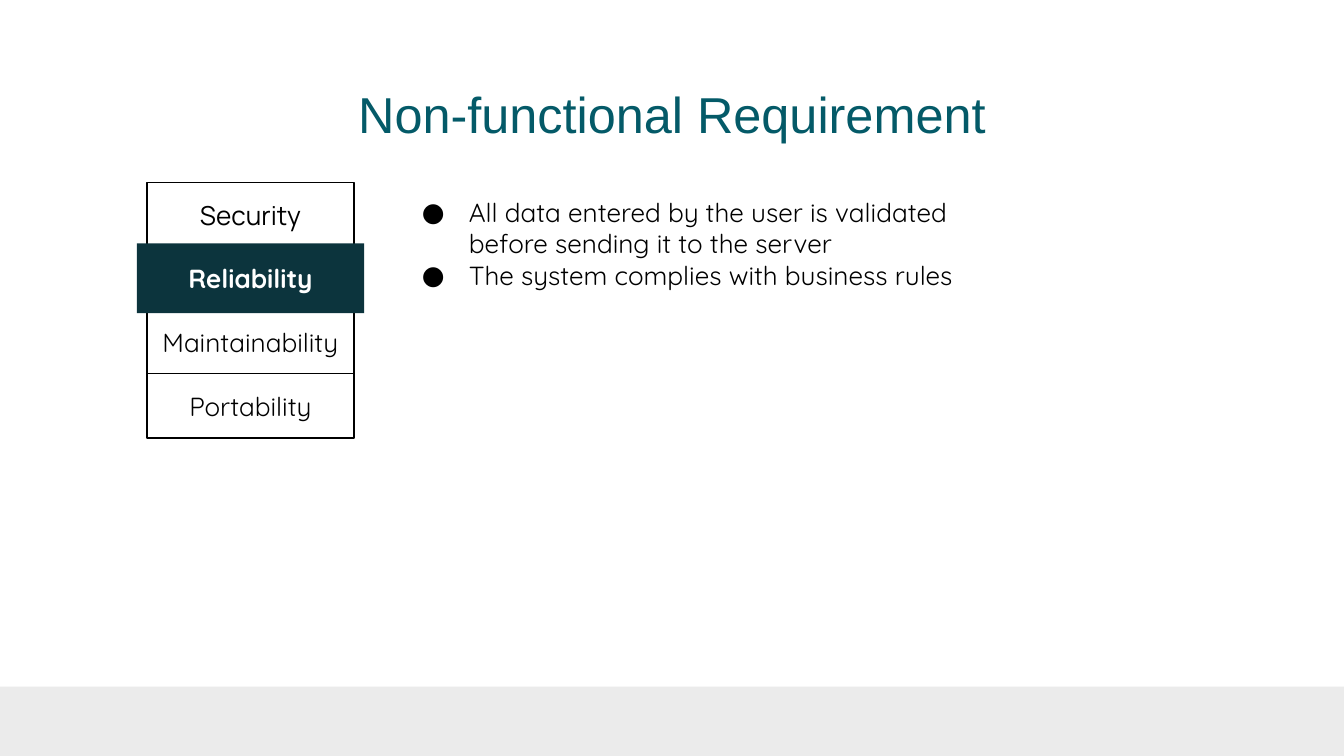
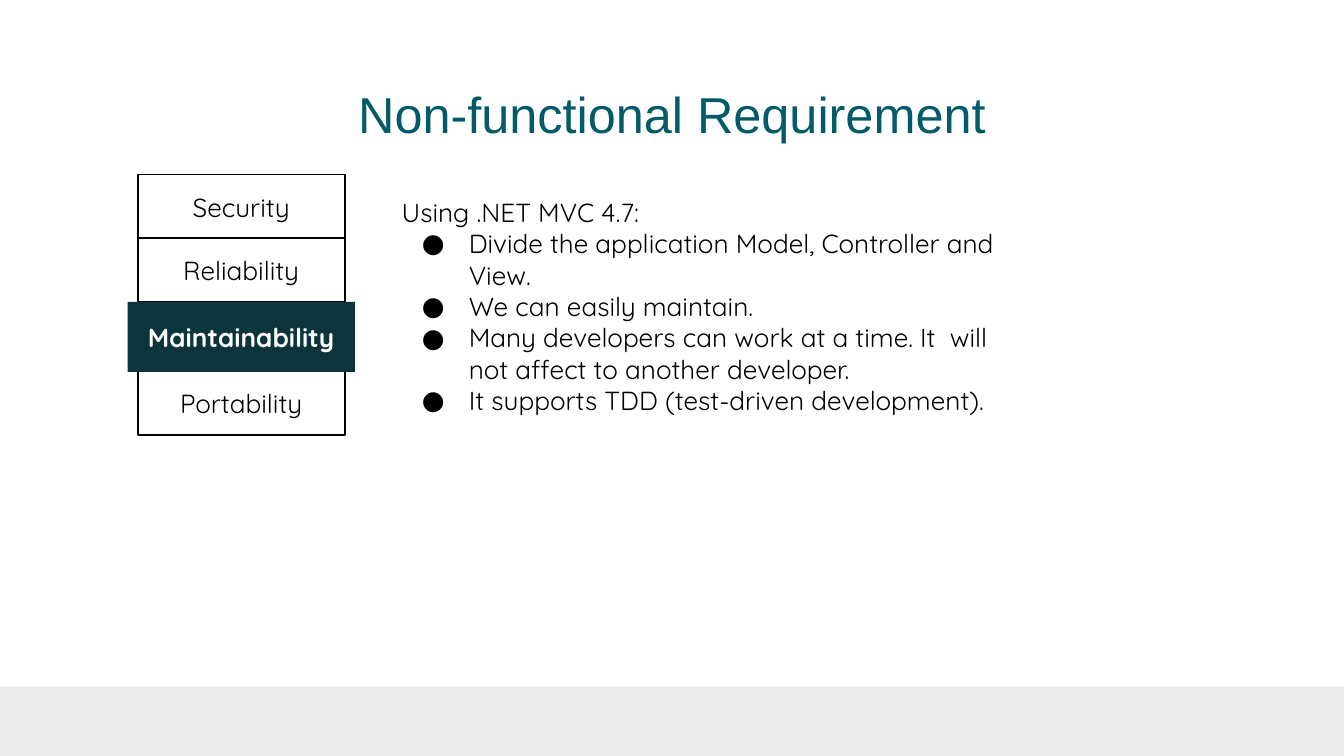
"""Build two slides on the non-functional requirements of a system."""
import dataclasses

import lxml.etree
import pptx
import pptx.dml.color
import pptx.enum.shapes
import pptx.enum.text
import pptx.oxml.ns
import pptx.util

WIDTH = pptx.util.Inches(10)
HEIGHT = pptx.util.Emu(WIDTH * 9 // 16)
GRID = 100
COLORS = {"black": "000000", "white": "FFFFFF", "teal": "045A68",
          "dark": "0C343D", "band": "EBEBEB"}
BODY_FONT, TITLE_FONT = "Quicksand", "Arial"
TITLE = "Non-functional Requirement"
QUALITIES = ("Security", "Reliability", "Maintainability", "Portability")
TAB_WIDTH, TAB_HEIGHT, TAB_PITCH = 15.4, 8.5, 8.42
GROW_WIDTH, GROW_HEIGHT = 1.5, 0.75


@dataclasses.dataclass(frozen=True)
class Area:
    """A rectangle in columns and rows of a 100 by 100 grid."""
    left: float
    top: float
    width: float
    height: float

    def emu(self) -> tuple[int, int, int, int]:
        """Return left, top, width and height in slide units."""
        return (round(self.left * WIDTH / GRID), round(self.top * HEIGHT / GRID),
                round(self.width * WIDTH / GRID), round(self.height * HEIGHT / GRID))


@dataclasses.dataclass(frozen=True)
class Menu:
    """A stack of quality tabs with one of them active."""
    left: float
    top: float
    active: str
    centred: bool
    fonts: dict[str, str] = dataclasses.field(default_factory=dict)

    def area(self, row: int) -> Area:
        """Return the place of a tab, making room for the larger active one."""
        active_row = QUALITIES.index(self.active)
        lift = GROW_HEIGHT / 2 if self.centred else 0
        top = self.top + row * TAB_PITCH
        if row == active_row:
            return Area(self.left - GROW_WIDTH / 2, top - lift,
                        TAB_WIDTH + GROW_WIDTH, TAB_HEIGHT + GROW_HEIGHT)
        push = GROW_HEIGHT - 2 * lift if row > active_row else 0
        return Area(self.left, top + push, TAB_WIDTH, TAB_HEIGHT)


@dataclasses.dataclass(frozen=True)
class Topic:
    """The content of one slide."""
    menu: Menu
    bullets: tuple[str, ...]
    intro: str = ""


BAND_AREA = Area(0, 90.84, 100, 9.16)
TITLE_AREA = Area(7.85, 9.27, 84.3, 11.38)
BODY_AREA = Area(28.9, 24.18, 49, 57.07)
TOPICS = (
    Topic(Menu(10.94, 24.15, "Reliability", True, {"Security": "Manrope"}),
          ("All data entered by the user is validated before sending it to the server",
           "The system complies with business rules")),
    Topic(Menu(10.25, 23.1, "Maintainability", False),
          ("Divide the application Model, Controller and View.",
           "We can easily maintain.",
           "Many developers can work at a time. It  will not affect to another developer.",
           "It supports TDD (test-driven development)."),
          "Using .NET MVC 4.7:"),
)


def color(name: str) -> pptx.dml.color.RGBColor:
    """Look up a named colour."""
    return pptx.dml.color.RGBColor.from_string(COLORS[name])


def style(para, size: float, face: str, ink: str, bold: bool = False) -> None:
    """Set the font of a whole paragraph."""
    para.font.size = pptx.util.Pt(size)
    para.font.name = face
    para.font.bold = bold
    para.font.color.rgb = color(ink)


def set_frame(frame, vertical: float, anchor: str) -> None:
    """Set wrapping, margins in inches and the anchor of a text frame."""
    frame.word_wrap = True
    frame.auto_size = pptx.enum.text.MSO_AUTO_SIZE.NONE
    frame.margin_left = frame.margin_right = pptx.util.Inches(0.1)
    frame.margin_top = frame.margin_bottom = pptx.util.Inches(vertical)
    frame.vertical_anchor = pptx.enum.text.MSO_ANCHOR[anchor]


def add_bullet(para) -> None:
    """Give a paragraph a round bullet and a hanging indent."""
    props = para._p.get_or_add_pPr()
    props.set("marL", str(pptx.util.Inches(0.5)))
    props.set("indent", str(pptx.util.Inches(-0.35)))
    tint = lxml.etree.SubElement(props, pptx.oxml.ns.qn("a:buClr"))
    lxml.etree.SubElement(tint, pptx.oxml.ns.qn("a:srgbClr"), val=COLORS["black"])
    lxml.etree.SubElement(props, pptx.oxml.ns.qn("a:buFont"), typeface=BODY_FONT)
    lxml.etree.SubElement(props, pptx.oxml.ns.qn("a:buChar"), char="●")


def add_box(page, area: Area, fill: str, line: str = ""):
    """Draw a flat rectangle with an optional outline."""
    box = page.shapes.add_shape(pptx.enum.shapes.MSO_SHAPE.RECTANGLE, *area.emu())
    box.shadow.inherit = False
    box.fill.solid()
    box.fill.fore_color.rgb = color(fill)
    if line:
        box.line.color.rgb = color(line)
        box.line.width = pptx.util.Pt(1)
    else:
        box.line.fill.background()
    return box


def add_title(page) -> None:
    """Place and format the title placeholder."""
    title = page.shapes.title
    title.left, title.top, title.width, title.height = TITLE_AREA.emu()
    set_frame(title.text_frame, 0.1, "MIDDLE")
    title.text_frame.text = TITLE
    para = title.text_frame.paragraphs[0]
    para.alignment = pptx.enum.text.PP_ALIGN.CENTER
    style(para, 27, TITLE_FONT, "teal")


def add_menu(page, menu: Menu) -> None:
    """Draw the tabs, with the active one in front."""
    for quality in sorted(QUALITIES, key=lambda name: name == menu.active):
        active = quality == menu.active
        area = menu.area(QUALITIES.index(quality))
        box = add_box(page, area, "dark") if active else add_box(page, area, "white", "black")
        set_frame(box.text_frame, 0.05, "MIDDLE")
        para = box.text_frame.paragraphs[0]
        para.text = quality
        para.alignment = pptx.enum.text.PP_ALIGN.CENTER
        style(para, 14, menu.fonts.get(quality, BODY_FONT),
              "white" if active else "black", active)


def add_body(page, topic: Topic) -> None:
    """Write the optional intro and the bullets."""
    frame = page.shapes.add_textbox(*BODY_AREA.emu()).text_frame
    set_frame(frame, 0.1, "TOP")
    lines = ((topic.intro,) if topic.intro else ()) + topic.bullets
    for index, line in enumerate(lines):
        para = frame.add_paragraph() if index else frame.paragraphs[0]
        para.text = line
        if line != topic.intro:
            add_bullet(para)
        style(para, 14, BODY_FONT, "black")


def add_page(deck, topic: Topic) -> None:
    """Add one slide for a topic."""
    page = deck.slides.add_slide(deck.slide_layouts.get_by_name("Title Only"))
    page.background.fill.solid()
    page.background.fill.fore_color.rgb = color("white")
    add_box(page, BAND_AREA, "band")
    add_title(page)
    add_menu(page, topic.menu)
    add_body(page, topic)


def main() -> None:
    """Build and save the deck."""
    deck = pptx.Presentation()
    deck.slide_width, deck.slide_height = WIDTH, HEIGHT
    for topic in TOPICS:
        add_page(deck, topic)
    deck.save("out.pptx")


if __name__ == "__main__":
    main()
